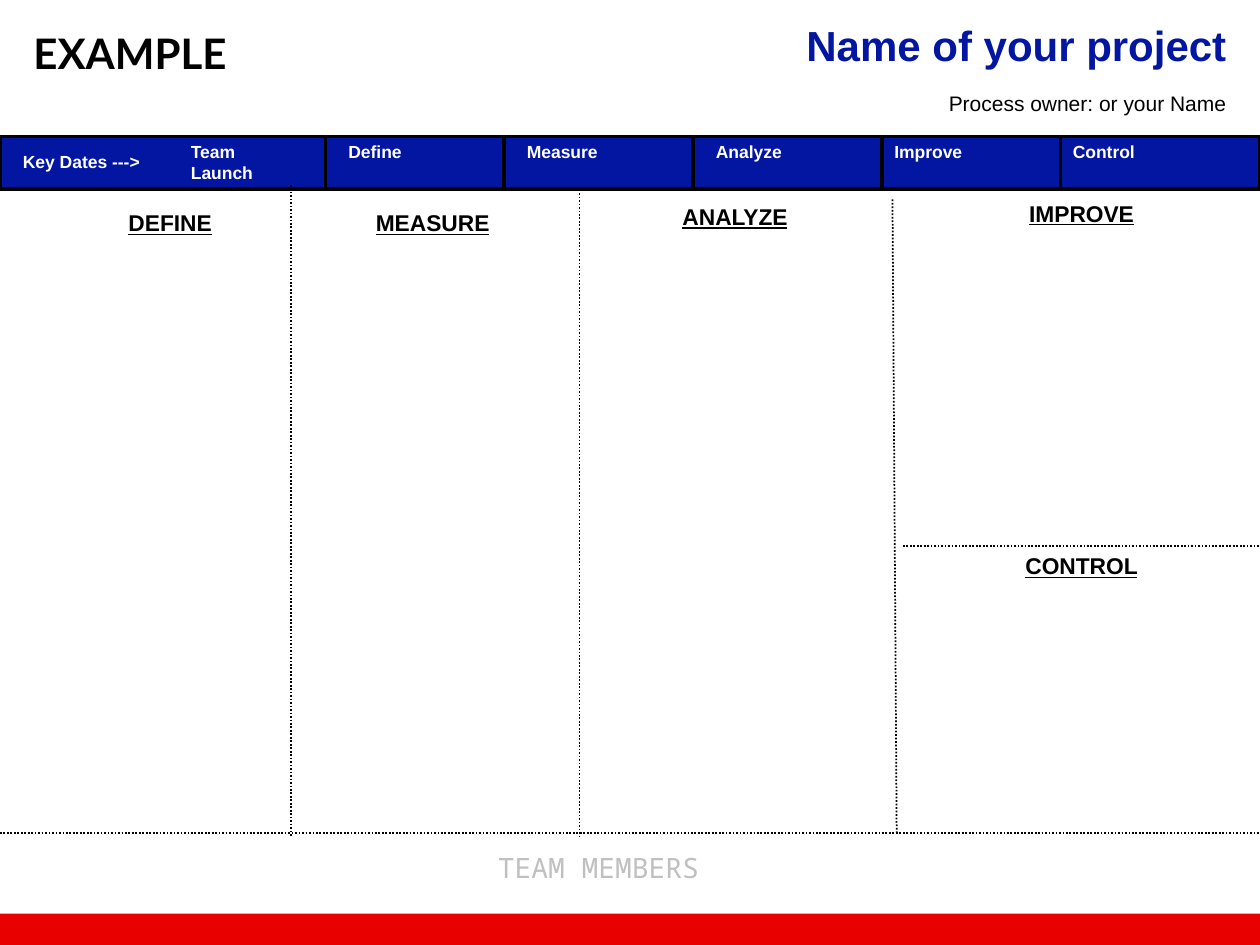
from lxml.etree import SubElement
from pptx import Presentation
from pptx.dml.color import RGBColor
from pptx.enum.dml import MSO_LINE_DASH_STYLE as Dash
from pptx.enum.shapes import MSO_CONNECTOR as Connector, MSO_SHAPE as Shape
from pptx.enum.text import MSO_ANCHOR as Anchor, MSO_AUTO_SIZE as AutoSize, PP_ALIGN as Align
from pptx.oxml.ns import qn
from pptx.util import Inches, Pt

color = RGBColor.from_string
BLUE, RED, BLACK, WHITE, GRAY = "0316A1", "E80000", "000000", "FFFFFF", "C0C0C0"

deck = Presentation()
deck.slide_width, deck.slide_height = Inches(10), Inches(7.5)
page = deck.slides.add_slide(deck.slide_layouts[5])

# The page is a grid of 120 columns by 90 rows
UNIT = deck.slide_width / 120
BAND_TOP, BAND_BOTTOM, FLOOR = 13, 18, 79.3


def grid(*cells):
    return [round(cell * UNIT) for cell in cells]


def add_text(text, place, box=None, size=10, font="Arial", fill=BLACK, bold=True,
             underline=None, align=Align.LEFT, wrap=True):
    box = box or page.shapes.add_textbox(0, 0, 0, 0)
    box.left, box.top, box.width, box.height = grid(*place)
    frame = box.text_frame
    frame.text = text
    frame.auto_size = AutoSize.NONE
    frame.word_wrap = wrap
    frame.vertical_anchor = Anchor.TOP
    for para in frame.paragraphs:
        para.alignment = align
        for span in para.runs:
            span.font.size, span.font.name = Pt(size), font
            span.font.bold, span.font.underline = bold, underline
            span.font.color.rgb = color(fill)


# Key dates band and footer bar
for top, height, fill in [(BAND_TOP, BAND_BOTTOM - BAND_TOP, BLUE), (87, 3, RED)]:
    bar = page.shapes.add_shape(Shape.RECTANGLE, *grid(0, top, 120, height))
    bar.shadow.inherit = False
    bar.fill.solid()
    bar.fill.fore_color.rgb = color(fill)
    if fill == BLUE:
        bar.line.color.rgb = color(BLACK)
        bar.line.width = Pt(2)
    else:
        bar.line.fill.background()

# Solid band dividers, then dotted section borders
dividers = [(column, BAND_TOP, column, BAND_BOTTOM) for column in (31, 48, 66, 84, 101)]
borders = [
    (27.7, 17.6, 27.7, 79.7),
    (55.2, 18.4, 55.2, 79.7),
    (85, 19, 85.4, FLOOR),
    (86, 52, 120, 52),
    (0, FLOOR, 120, FLOOR),
]
for ends in dividers + borders:
    rule = page.shapes.add_connector(Connector.STRAIGHT, *grid(*ends))
    rule.line.color.rgb = color(BLACK)
    rule.line.width = Pt(2 if ends in dividers else 1)
    if ends in borders:
        rule.line.dash_style = Dash.ROUND_DOT
    SubElement(rule._element.spPr, qn("a:effectLst"))

# Heading
add_text("Name of your project", (25.7, 1.3, 92.3, 6), box=page.shapes.title,
         size=24, fill=BLUE, align=Align.RIGHT)
add_text("Process owner: or your Name", (51.8, 8, 66.2, 3.6), size=12, bold=False,
         align=Align.RIGHT)
add_text("EXAMPLE", (2, 2, 26, 6), size=24, font="Lato")

# Key dates
add_text("Key Dates --->", (1, 13.8, 13.6, 3.2), fill=WHITE, wrap=False)
for label, left, width in [
    ("Team\nLaunch", 17, 8.3),
    ("Define", 32, 7.4),
    ("Measure", 49, 9.1),
    ("Analyze", 67, 8.6),
    ("Improve", 84, 8.9),
    ("Control", 101, 8.4),
]:
    add_text(label, (left, 12.8, width, 5.2), fill=WHITE, wrap=False)

# Section headings
for label, left, top in [
    ("DEFINE", 7.2, 19.3),
    ("MEASURE", 32.2, 19.3),
    ("ANALYZE", 61, 18.7),
    ("IMPROVE", 94, 18.4),
    ("CONTROL", 94, 52),
]:
    add_text(label, (left, top, 18, 3.7), size=13, underline=True, align=Align.CENTER)

# Team
add_text("TEAM MEMBERS", (2, 80.4, 110, 4.7), size=16, font="Noto Sans Mono", fill=GRAY,
         bold=False, align=Align.CENTER, wrap=False)

deck.save("out.pptx")
